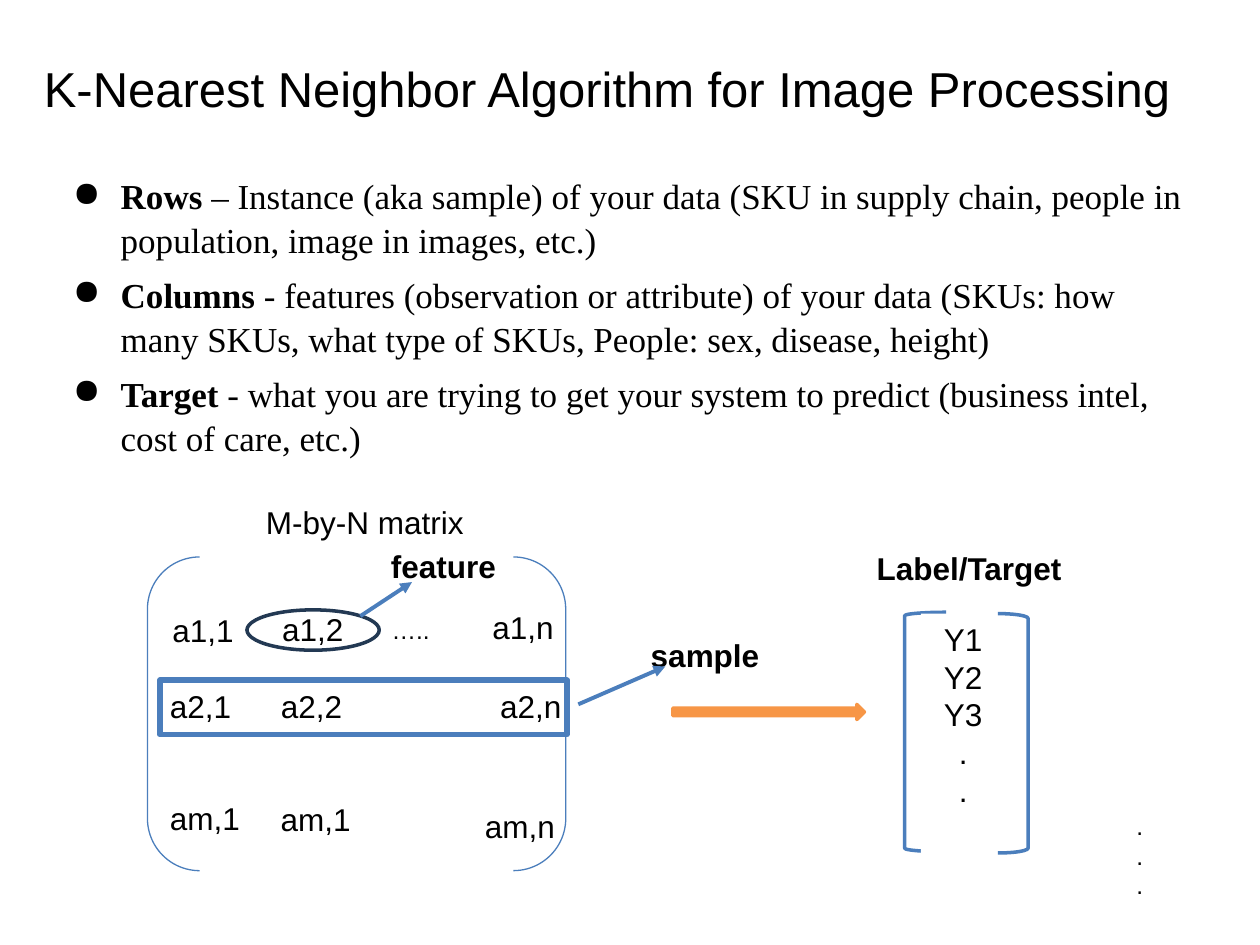
from dataclasses import dataclass

from lxml.etree import SubElement
from pptx import Presentation
from pptx.dml.color import RGBColor
from pptx.enum.shapes import MSO_CONNECTOR, MSO_SHAPE
from pptx.enum.text import MSO_ANCHOR, PP_ALIGN
from pptx.oxml.ns import qn
from pptx.util import Inches, Pt


@dataclass(frozen=True)
class Theme:
    ink: str = "000000"
    paper: str = "FFFFFF"
    blue: str = "4B7EBC"
    navy: str = "233953"
    orange: str = "F79646"
    sans: str = "Arial"
    serif: str = "Times New Roman"
    title: int = 28
    body: int = 20
    label: int = 18
    small: int = 14


THEME = Theme()


def rgb(value):
    return RGBColor.from_string(value)


def add_bullet(p):
    pPr = p._p.get_or_add_pPr()
    pPr.set("marL", str(Inches(0.5)))
    pPr.set("indent", str(Inches(-0.38)))
    color = SubElement(pPr, qn("a:buClr"))
    SubElement(color, qn("a:srgbClr"), val=THEME.ink)
    SubElement(pPr, qn("a:buChar"), char="●")


def add_text(s, box, lines, size=THEME.label, font=THEME.sans, bold=False,
             align=PP_ALIGN.LEFT, anchor=MSO_ANCHOR.TOP, wrap=True, inset=0.05,
             bullets=False, after=0, spacing=None):
    """Each line is a string, or a list of (text, bold) runs."""
    tf = s.shapes.add_textbox(*map(Inches, box)).text_frame
    tf.word_wrap, tf.vertical_anchor = wrap, anchor
    tf.margin_left = tf.margin_right = Inches(0.1)
    tf.margin_top = tf.margin_bottom = Inches(inset)
    for i, line in enumerate(lines):
        p = tf.add_paragraph() if i else tf.paragraphs[0]
        p.alignment, p.space_after = align, Pt(after)
        if spacing:
            p.line_spacing = spacing
        if bullets:
            add_bullet(p)
        for text, strong in [(line, bold)] if isinstance(line, str) else line:
            r = p.add_run()
            r.text = text
            r.font.name, r.font.size, r.font.bold = font, Pt(size), strong
            r.font.color.rgb = rgb(THEME.ink)


def add_figure(s, kind, box, line=None, width=2, fill=None):
    sp = s.shapes.add_shape(kind, *map(Inches, box))
    sp.shadow.inherit = False
    if fill:
        sp.fill.solid()
        sp.fill.fore_color.rgb = rgb(fill)
    else:
        sp.fill.background()
    if line:
        sp.line.color.rgb = rgb(line)
        sp.line.width = Pt(width)
    else:
        sp.line.fill.background()
    return sp


def add_pointer(s, start, end):
    cx = s.shapes.add_connector(MSO_CONNECTOR.STRAIGHT, *map(Inches, start + end))
    cx.line.color.rgb = rgb(THEME.blue)
    cx.line.width = Pt(2.25)
    SubElement(cx.line._get_or_add_ln(), qn("a:tailEnd"), type="triangle")
    SubElement(cx._element.spPr, qn("a:effectLst"))


def add_title(s, box):
    add_text(s, box, ["K-Nearest Neighbor Algorithm for Image Processing"],
             size=THEME.title, anchor=MSO_ANCHOR.MIDDLE, inset=0.1)


def add_definitions(s, box):
    add_text(s, box, [
        [("Rows", True), (" – Instance (aka sample) of your data (SKU in supply "
                          "chain, people in population, image in images, etc.)", False)],
        [("Columns", True), (" - features (observation or attribute) of your data "
                             "(SKUs: how many SKUs, what type of SKUs, People: sex, "
                             "disease, height)", False)],
        [("Target ", True), ("- what you are trying to get your system to predict "
                             "(business intel, cost of care, etc.)", False)],
    ], size=THEME.body, font=THEME.serif, inset=0.1, bullets=True, after=6, spacing=1.05)


def add_matrix(s, box):
    """Bracketed matrix with one feature ringed and one sample row framed."""
    x, y, w, h = box
    add_text(s, (x - 0.22, y - 0.48, 3.89, 0.4), ["M-by-N matrix"], align=PP_ALIGN.CENTER)
    add_text(s, (x + 1.74, y - 0.13, 1.22, 0.4), ["feature"], bold=True,
             align=PP_ALIGN.CENTER)
    add_text(s, (x + 3.8, y + 0.58, 1.25, 0.4), ["sample"], bold=True,
             align=PP_ALIGN.CENTER)
    add_figure(s, MSO_SHAPE.DOUBLE_BRACKET, box, THEME.blue, 0.75)
    cells = [
        ("a1,1", 0.1, 0.38), ("a1,2", 0.97, 0.37), ("a1,n", 2.64, 0.36),
        ("a2,1", 0.08, 0.98), ("a2,2", 0.96, 0.98), ("a2,n", 2.7, 0.98),
        ("am,1", 0.08, 1.87), ("am,1", 0.96, 1.88), ("am,n", 2.58, 1.94),
    ]
    for text, dx, dy in cells:
        width = 0.76 if text.startswith("am") else 0.69
        add_text(s, (x + dx, y + dy, width, 0.4), [text], wrap=False)
    add_text(s, (x + 1.84, y + 0.41, 0.52, 0.34), ["….."], size=THEME.small)
    add_figure(s, MSO_SHAPE.OVAL, (x + 0.79, y + 0.42, 1.05, 0.32), THEME.navy)
    add_figure(s, MSO_SHAPE.RECTANGLE, (x + 0.1, y + 0.98, w - 0.09, 0.43),
               THEME.blue, 3.25)
    add_pointer(s, (x + 1.69, y + 0.47), (x + 2.1, y + 0.2))
    add_pointer(s, (x + w + 0.1, y + 1.17), (x + w + 0.79, y + 0.87))


def add_target(s, box):
    """Bracketed column of target values under its heading."""
    x, y, w, h = box
    add_text(s, (x - 0.32, y - 0.55, 1.83, 0.4), ["Label/Target"], bold=True)
    add_figure(s, MSO_SHAPE.LEFT_BRACKET, (x, y, 0.33, h), THEME.blue)
    values = (x + 0.13, y + 0.01, 0.67, 1.92)
    add_figure(s, MSO_SHAPE.RECTANGLE, values, fill=THEME.paper)
    add_text(s, values, ["Y1", "Y2", "Y3", ".", "."], align=PP_ALIGN.CENTER)
    right = add_figure(s, MSO_SHAPE.RIGHT_BRACKET, (x + w - 0.24, y + 0.01, 0.24, h),
                       THEME.blue)
    right.adjustments[0] = 0.16
    add_text(s, (x + 1.74, y + 1.53, 0.26, 1.04), ["."] * 3, size=THEME.small, wrap=False)


def main():
    prs = Presentation()
    prs.slide_width, prs.slide_height = Inches(10), Inches(7.5)
    s = prs.slides.add_slide(prs.slide_layouts[6])
    add_title(s, (0.25, 0.2, 9.61, 1))
    add_definitions(s, (0.36, 1.27, 9.14, 4.75))
    add_matrix(s, (1.17, 4.42, 3.32, 2.49))
    add_figure(s, MSO_SHAPE.RIGHT_ARROW, (5.34, 5.59, 1.52, 0.12), THEME.orange,
               fill=THEME.orange)
    add_target(s, (7.18, 4.86, 0.98, 1.9))
    prs.save("out.pptx")


if __name__ == "__main__":
    main()
